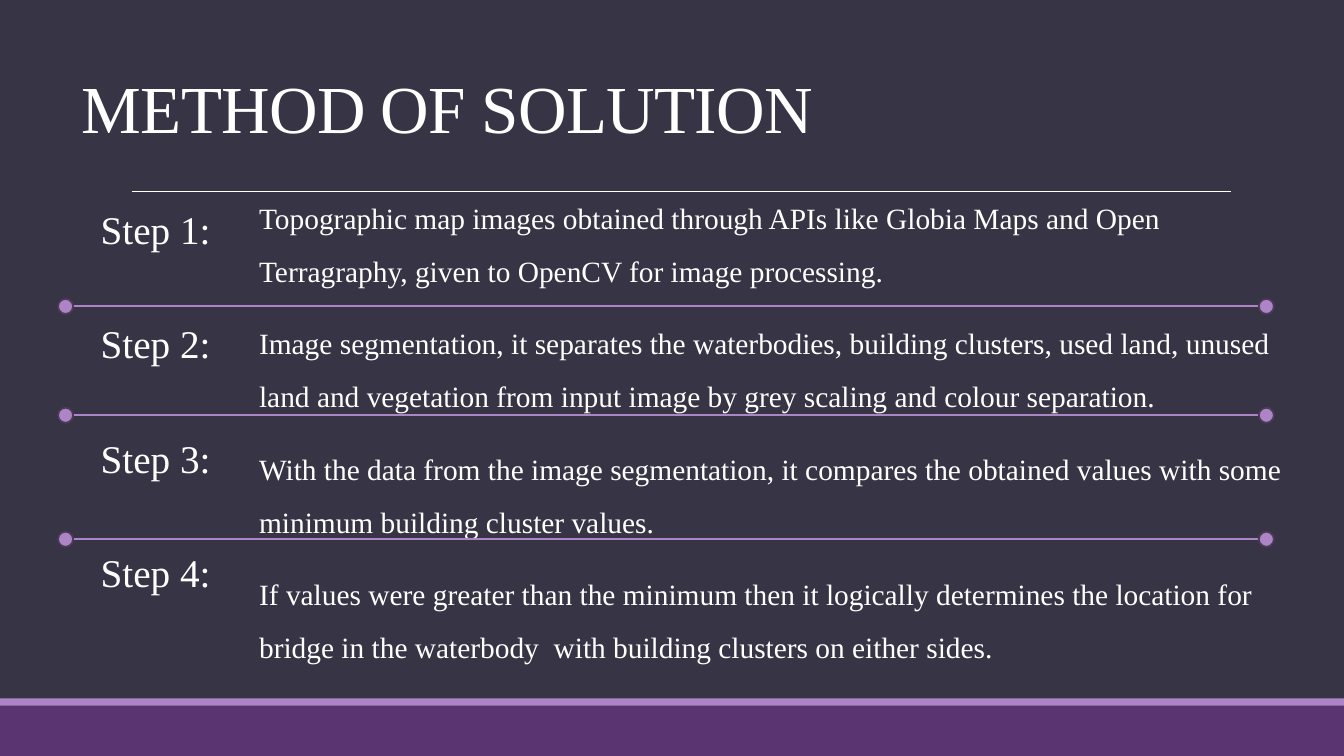
from dataclasses import dataclass

from lxml import etree
from pptx import Presentation
from pptx.dml.color import RGBColor
from pptx.enum.shapes import MSO_CONNECTOR, MSO_SHAPE
from pptx.enum.text import MSO_ANCHOR, MSO_AUTO_SIZE, PP_ALIGN
from pptx.oxml.ns import qn
from pptx.util import Inches, Pt

STRAIGHT = MSO_CONNECTOR.STRAIGHT
RECTANGLE, OVAL = MSO_SHAPE.RECTANGLE, MSO_SHAPE.OVAL
BOTTOM, TOP = MSO_ANCHOR.BOTTOM, MSO_ANCHOR.TOP
LEFT = PP_ALIGN.LEFT
NO_AUTOFIT = MSO_AUTO_SIZE.NONE

TITLE = "METHOD OF SOLUTION"
STEPS = [
    ("Step 1:", "Topographic map images obtained through APIs like Globia Maps and Open "
                "Terragraphy, given to OpenCV for image processing."),
    ("Step 2:", "Image segmentation, it separates the waterbodies, building clusters, used land, "
                "unused land and vegetation from input image by grey scaling and colour separation."),
    ("Step 3:", "With the data from the image segmentation, it compares the obtained values "
                "with some minimum building cluster values."),
    ("Step 4:", "If values were greater than the minimum then it logically determines the location "
                "for bridge in the waterbody  with building clusters on either sides."),
]


@dataclass(frozen=True)
class Theme:
    background: RGBColor = RGBColor.from_string("373545")
    band: RGBColor = RGBColor.from_string("5A3471")
    accent: RGBColor = RGBColor.from_string("AD84C6")
    dot_edge: RGBColor = RGBColor.from_string("4C3A57")
    text: RGBColor = RGBColor.from_string("FFFFFF")
    font: str = "Times New Roman"
    title_size: int = 48
    label_size: int = 28
    body_size: int = 21


THEME = Theme()
SLIDE_WIDTH, SLIDE_HEIGHT = 13.33, 7.5
BAND_TOP, STRIPE_HEIGHT = 7, 0.07
DIVIDER_LEFT, DIVIDER_RIGHT = 0.65, 12.56
DIVIDER_YS = [3.04, 4.12, 5.35]
DOT = 0.15


def add_filled(slide, preset, left, top, width, height, fill):
    shape = slide.shapes.add_shape(
        preset, Inches(left), Inches(top), Inches(width), Inches(height))
    shape.shadow.inherit = False
    shape.fill.solid()
    shape.fill.fore_color.rgb = fill
    shape.line.fill.background()
    return shape


def add_rule(slide, left, right, y, color, weight):
    rule = slide.shapes.add_connector(
        STRAIGHT, Inches(left), Inches(y), Inches(right), Inches(y))
    rule.line.color.rgb = color
    rule.line.width = Pt(weight)
    etree.SubElement(rule._element.spPr, qn("a:effectLst"))


def add_divider(slide, y):
    """Draw a rule between two steps with a dot centred on each end."""
    add_rule(slide, DIVIDER_LEFT, DIVIDER_RIGHT, y, THEME.accent, 1.5)
    for x in (DIVIDER_LEFT, DIVIDER_RIGHT):
        dot = add_filled(slide, OVAL, x - DOT / 2, y - DOT / 2, DOT, DOT, THEME.accent)
        dot.line.color.rgb = THEME.dot_edge
        dot.line.width = Pt(1.25)


def format_paragraph(paragraph, size, line_spacing, before=0, after=0):
    paragraph.alignment = LEFT
    paragraph.line_spacing = line_spacing
    paragraph.space_before, paragraph.space_after = Pt(before), Pt(after)
    for run in paragraph.runs:
        run.font.name = THEME.font
        run.font.size = Pt(size)
        run.font.color.rgb = THEME.text


def add_column(slide, box, lines, inset, size, line_spacing, befores, after):
    column = slide.shapes.add_textbox(*map(Inches, box))
    frame = column.text_frame
    frame.word_wrap = True
    frame.vertical_anchor = TOP
    frame.margin_left = frame.margin_right = Inches(inset)
    frame.text = "\n".join(lines)
    for paragraph, before in zip(frame.paragraphs, befores):
        format_paragraph(paragraph, size, line_spacing, before, after)


def add_title(slide):
    title = slide.shapes.title
    title.left, title.top = Inches(0.71), Inches(0.06)
    title.width, title.height = Inches(11.5), Inches(1.45)
    frame = title.text_frame
    frame.text = TITLE
    frame.word_wrap = True
    frame.auto_size = NO_AUTOFIT
    frame.vertical_anchor = BOTTOM
    format_paragraph(frame.paragraphs[0], THEME.title_size, 0.85)
    frame.paragraphs[0].runs[0]._r.get_or_add_rPr().set("spc", "-50")


def main():
    prs = Presentation()
    prs.slide_width, prs.slide_height = Inches(SLIDE_WIDTH), Inches(SLIDE_HEIGHT)
    slide = prs.slides.add_slide(prs.slide_layouts.get_by_name("Title Only"))
    slide.background.fill.solid()
    slide.background.fill.fore_color.rgb = THEME.background

    add_filled(slide, RECTANGLE, 0, BAND_TOP, SLIDE_WIDTH, SLIDE_HEIGHT - BAND_TOP, THEME.band)
    add_filled(slide, RECTANGLE, 0, BAND_TOP - STRIPE_HEIGHT, SLIDE_WIDTH, STRIPE_HEIGHT,
               THEME.accent)
    add_rule(slide, 1.31, 12.21, 1.9, THEME.text, 0.5)
    add_title(slide)

    labels, descriptions = zip(*STEPS)
    add_column(slide, (2.57, 1.76, 10.36, 5.38), descriptions, 0, THEME.body_size,
               1.5, [12] * len(STEPS), 2)
    add_column(slide, (0.9, 2.04, 1.56, 4.76), labels, 0.1, THEME.label_size,
               0.9, [10] + [51.5] * (len(STEPS) - 1), 0)
    for y in DIVIDER_YS:
        add_divider(slide, y)

    prs.save("out.pptx")


if __name__ == "__main__":
    main()
